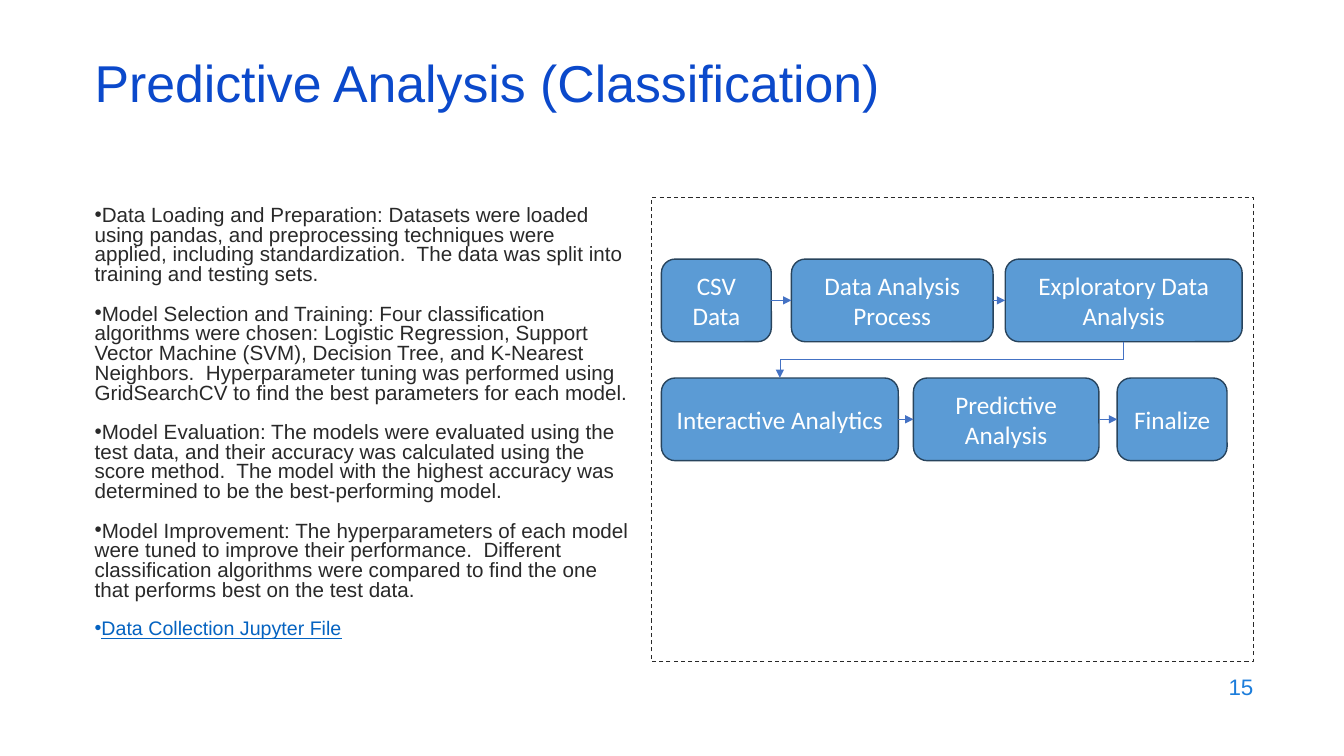
from dataclasses import dataclass
from itertools import pairwise

from lxml.etree import SubElement
from pptx import Presentation
from pptx.dml.color import RGBColor
from pptx.enum.dml import MSO_LINE
from pptx.enum.shapes import MSO_CONNECTOR, MSO_SHAPE
from pptx.enum.text import MSO_ANCHOR, PP_ALIGN
from pptx.oxml.ns import qn
from pptx.util import Inches, Pt

TITLE = "Predictive Analysis (Classification)"
PAGE_NUMBER = "15"
METHOD_STEPS = [
    "Data Loading and Preparation: Datasets were loaded using pandas, and preprocessing techniques were applied, including standardization.  The data was split into training and testing sets.",
    "Model Selection and Training: Four classification algorithms were chosen: Logistic Regression, Support Vector Machine (SVM), Decision Tree, and K-Nearest Neighbors.  Hyperparameter tuning was performed using GridSearchCV to find the best parameters for each model.",
    "Model Evaluation: The models were evaluated using the test data, and their accuracy was calculated using the score method.  The model with the highest accuracy was determined to be the best-performing model.",
    "Model Improvement: The hyperparameters of each model were tuned to improve their performance.  Different classification algorithms were compared to find the one that performs best on the test data.",
]
NOTEBOOK_REFERENCE = "Data Collection Jupyter File"

# Each flow row: top, then (label, left, width) per stage
FLOW_ROWS = [
    (2.57, [("CSV Data", 6.56, 1.09),
            ("Data Analysis Process", 7.85, 2),
            ("Exploratory Data Analysis", 9.97, 2.35)]),
    (3.75, [("Interactive Analytics", 6.56, 2.35),
            ("Predictive Analysis", 9.06, 1.84),
            ("Finalize", 11.08, 1.09)]),
]
STAGE_HEIGHT = 0.82
LEFT_SITE, RIGHT_SITE = 1, 3


@dataclass(frozen=True)
class Theme:
    text_font: str = "Arial"
    stage_font: str = "Calibri"
    title: str = "0B49CB"
    body: str = "292929"
    reference: str = "0563C1"
    page: str = "1C7DDB"
    stage_fill: str = "5B9BD5"
    stage_line: str = "28445D"
    stage_text: str = "FFFFFF"
    arrow: str = "4472C4"
    title_size: float = 37
    body_size: float = 14.7
    reference_size: float = 14
    page_size: float = 16
    stage_size: float = 18


THEME = Theme()


def color(code):
    return RGBColor.from_string(code)


def style(paragraph, font_name, size, code):
    paragraph.font.name = font_name
    paragraph.font.size = Pt(size)
    paragraph.font.color.rgb = color(code)


def add_text_frame(slide, left, top, width, height, anchor):
    box = slide.shapes.add_textbox(*map(Inches, (left, top, width, height)))
    frame = box.text_frame
    frame.word_wrap = True
    frame.vertical_anchor = anchor
    return frame


def add_bullet(paragraph):
    properties = paragraph._p.get_or_add_pPr()
    properties.set("marL", "0")
    properties.set("indent", "0")
    SubElement(properties, qn("a:buFont")).set("typeface", THEME.text_font)
    SubElement(properties, qn("a:buChar")).set("char", "•")


def add_method(slide):
    frame = add_text_frame(slide, 0.84, 2, 5.53, 4.76, MSO_ANCHOR.TOP)
    for index, step in enumerate(METHOD_STEPS + [NOTEBOOK_REFERENCE]):
        paragraph = frame.add_paragraph() if index else frame.paragraphs[0]
        paragraph.text = step
        paragraph.line_spacing = 0.8
        if index:
            paragraph.space_before = Pt(14)
        add_bullet(paragraph)
        if step == NOTEBOOK_REFERENCE:
            style(paragraph, THEME.text_font, THEME.reference_size, THEME.reference)
            reference = paragraph.runs[0].font
            reference.underline = True
            reference.color.rgb = color(THEME.reference)
        else:
            style(paragraph, THEME.text_font, THEME.body_size, THEME.body)


def add_flow_frame(slide):
    border = slide.shapes.add_shape(
        MSO_SHAPE.RECTANGLE, *map(Inches, (6.46, 1.96, 5.97, 4.6)))
    border.shadow.inherit = False
    border.fill.background()
    border.line.color.rgb = color(THEME.body)
    border.line.width = Pt(0.75)
    border.line.dash_style = MSO_LINE.DASH


def add_stage(slide, label, left, top, width):
    stage = slide.shapes.add_shape(
        MSO_SHAPE.ROUNDED_RECTANGLE, *map(Inches, (left, top, width, STAGE_HEIGHT)))
    stage.shadow.inherit = False
    stage.fill.solid()
    stage.fill.fore_color.rgb = color(THEME.stage_fill)
    stage.line.color.rgb = color(THEME.stage_line)
    stage.line.width = Pt(1)
    frame = stage.text_frame
    frame.word_wrap = True
    frame.vertical_anchor = MSO_ANCHOR.MIDDLE
    paragraph = frame.paragraphs[0]
    paragraph.text = label
    paragraph.alignment = PP_ALIGN.CENTER
    style(paragraph, THEME.stage_font, THEME.stage_size, THEME.stage_text)
    return stage


def add_arrow(slide, kind, start, end):
    arrow = slide.shapes.add_connector(kind, *start, *end)
    arrow.line.color.rgb = color(THEME.arrow)
    arrow.line.width = Pt(0.5)
    SubElement(arrow.line._get_or_add_ln(), qn("a:tailEnd")).set("type", "triangle")
    SubElement(arrow._element.spPr, qn("a:effectLst"))
    return arrow


def link_in_row(slide, source, target):
    middle = source.top + source.height // 2
    arrow = add_arrow(slide, MSO_CONNECTOR.STRAIGHT,
                      (source.left + source.width, middle), (target.left, middle))
    arrow.begin_connect(source, RIGHT_SITE)
    arrow.end_connect(target, LEFT_SITE)


def link_rows(slide, source, target):
    """Bent arrow from under source to above target, a quarter turn of an elbow."""
    start_x = source.left + source.width // 2
    end_x = target.left + target.width // 2
    start_y, end_y = source.top + source.height, target.top
    center_x, center_y = (start_x + end_x) // 2, (start_y + end_y) // 2
    half_drop, half_run = (end_y - start_y) // 2, (start_x - end_x) // 2
    arrow = add_arrow(slide, MSO_CONNECTOR.ELBOW,
                      (center_x - half_drop, center_y - half_run),
                      (center_x + half_drop, center_y + half_run))
    arrow._element.spPr.xfrm.set("rot", str(90 * 60000))


def add_flow(slide):
    add_flow_frame(slide)
    rows = [[add_stage(slide, label, left, top, width) for label, left, width in stages]
            for top, stages in FLOW_ROWS]
    for row in rows:
        for source, target in pairwise(row):
            link_in_row(slide, source, target)
    for upper, lower in pairwise(rows):
        link_rows(slide, upper[-1], lower[0])


def main():
    presentation = Presentation()
    presentation.slide_width = Inches(13.33)
    presentation.slide_height = Inches(7.5)
    slide = presentation.slides.add_slide(presentation.slide_layouts[6])

    title = add_text_frame(slide, 0.84, 0.59, 11.5, 0.6, MSO_ANCHOR.MIDDLE).paragraphs[0]
    title.text = TITLE
    title.line_spacing = 0.7
    style(title, THEME.text_font, THEME.title_size, THEME.title)

    add_method(slide)
    add_flow(slide)

    page = add_text_frame(slide, 9.53, 6.59, 3, 0.44, MSO_ANCHOR.MIDDLE).paragraphs[0]
    page.text = PAGE_NUMBER
    page.alignment = PP_ALIGN.RIGHT
    style(page, THEME.text_font, THEME.page_size, THEME.page)

    presentation.save("out.pptx")


if __name__ == "__main__":
    main()
